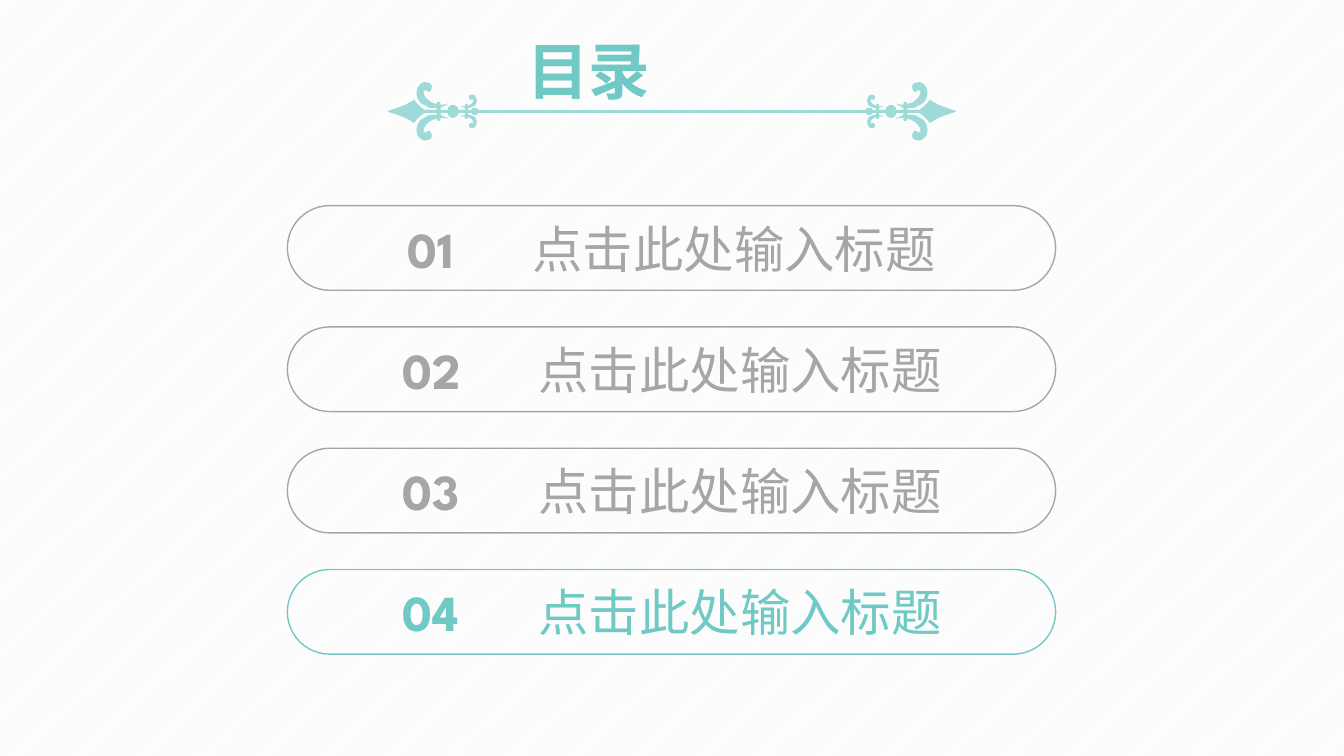
from lxml import etree
from pptx import Presentation
from pptx.dml.color import RGBColor
from pptx.enum.dml import MSO_PATTERN
from pptx.enum.shapes import MSO_SHAPE
from pptx.enum.text import MSO_AUTO_SIZE, PP_ALIGN
from pptx.oxml.ns import qn
from pptx.util import Inches, Pt

ROUND_RECT = MSO_SHAPE.ROUNDED_RECTANGLE
DIAGONAL = MSO_PATTERN.DARK_UPWARD_DIAGONAL
FIT_SHAPE = MSO_AUTO_SIZE.SHAPE_TO_FIT_TEXT
JUSTIFY, LEFT = PP_ALIGN.JUSTIFY, PP_ALIGN.LEFT

TEAL, PALE_TEAL, GREY = "70C9C4", "9EDAD7", "A6A6A6"
TITLE_FONT, NUMBER_FONT = "Calibri", "League Spartan"
WIDTH, HEIGHT = 13.33, 7.5
MID_X, MID_Y = WIDTH / 2, 1.1  # axes of the ornament

# Outlines: a start point, then lines (2 numbers) and cubic curves (6 numbers)
LARGE_SCROLL = [
    (4.24, 0.91),
    (4.23, 0.89, 4.21, 0.89, 4.2, 0.91), (4.2, 0.94, 4.22, 0.98, 4.27, 1.01),
    (4.33, 1.04, 4.38, 1.05, 4.45, 1.03), (4.38, 1.1, 4.24, 1.09, 4.17, 1.02),
    (4.13, 0.98, 4.12, 0.92, 4.14, 0.87), (4.16, 0.83, 4.2, 0.8, 4.25, 0.82),
    (4.28, 0.83, 4.29, 0.86, 4.28, 0.88), (4.28, 0.9, 4.26, 0.92, 4.24, 0.91),
]
SMALL_SCROLL = [
    (4.68, 0.99),
    (4.68, 0.98, 4.69, 0.98, 4.69, 0.99), (4.7, 1, 4.69, 1.03, 4.66, 1.04),
    (4.63, 1.06, 4.6, 1.06, 4.56, 1.05), (4.6, 1.08, 4.67, 1.08, 4.71, 1.05),
    (4.73, 1.02, 4.74, 0.99, 4.72, 0.97), (4.72, 0.95, 4.7, 0.93, 4.67, 0.94),
    (4.65, 0.95, 4.65, 0.96, 4.65, 0.97), (4.65, 0.98, 4.66, 0.99, 4.68, 0.99),
]
SPINE_QUARTER = [
    (3.85, 1.1),
    (3.94, 1.07, 4.02, 1.05, 4.11, 0.99), (4.13, 1.03, 4.17, 1.06, 4.21, 1.09),
    (4.44, 1.09),
    (4.44, 1.06, 4.47, 1.04, 4.49, 1.04), (4.52, 1.04, 4.54, 1.06, 4.55, 1.09),
    (4.68, 1.09),
    (4.68, 1.07, 4.69, 1.07, 4.71, 1.07), (4.72, 1.07, 4.74, 1.07, 4.74, 1.09),
]


def color(value):
    return RGBColor.from_string(value)


def trace(outline, steps=3):
    """Turn an outline into a list of points."""
    points = [outline[0]]
    for step in outline[1:]:
        if len(step) == 2:
            points.append(step)
            continue
        x0, y0 = points[-1]
        x1, y1, x2, y2, x3, y3 = step
        for i in range(1, steps + 1):
            t = i / steps
            a, b, c, d = (1 - t) ** 3, 3 * t * (1 - t) ** 2, 3 * t * t * (1 - t), t ** 3
            points.append((a * x0 + b * x1 + c * x2 + d * x3,
                           a * y0 + b * y1 + c * y2 + d * y3))
    return points


def flip_x(points):
    return [(2 * MID_X - x, y) for x, y in points]


def flip_y(points):
    return [(x, 2 * MID_Y + 0.01 - y) for x, y in points]


class Deck:
    def __init__(self):
        self.prs = Presentation()
        self.prs.slide_width, self.prs.slide_height = Inches(WIDTH), Inches(HEIGHT)
        self.s = self.prs.slides.add_slide(self.prs.slide_layouts[6])

    def background(self, fore, back):
        fill = self.s.background.fill
        fill.patterned()
        fill.pattern = DIAGONAL
        fill.fore_color.rgb, fill.back_color.rgb = color(fore), color(back)

    def freeform(self, contours, fill):
        contours = [[(Inches(x), Inches(y)) for x, y in c] for c in contours]
        builder = self.s.shapes.build_freeform(*contours[0][0])
        builder.add_line_segments(contours[0][1:])
        for contour in contours[1:]:
            builder.move_to(*contour[0])
            builder.add_line_segments(contour[1:])
        self.finish(builder.convert_to_shape(), fill=fill)

    def pill(self, x, y, w, h, fill=None, line=None):
        sp = self.s.shapes.add_shape(ROUND_RECT, Inches(x), Inches(y), Inches(w), Inches(h))
        sp.adjustments[0] = 0.5
        self.finish(sp, fill, line)

    def finish(self, sp, fill=None, line=None):
        sp.shadow.inherit = False
        if fill:
            sp.fill.solid()
            sp.fill.fore_color.rgb = color(fill)
        else:
            sp.fill.background()
        if line:
            sp.line.color.rgb, sp.line.width = color(line), Pt(1)
        else:
            sp.line.fill.background()

    def text(self, x, y, w, h, runs, size, ink, align, inset=0.1, tab=None):
        """Write one paragraph; runs are (text, font, bold)."""
        tf = self.s.shapes.add_textbox(Inches(x), Inches(y), Inches(w), Inches(h)).text_frame
        tf.word_wrap, tf.auto_size, tf.margin_left = True, FIT_SHAPE, Inches(inset)
        p = tf.paragraphs[0]
        p.alignment = align
        p.font.size, p.font.color.rgb = Pt(size), color(ink)
        if tab:
            tabs = etree.Element(qn("a:tabLst"))
            etree.SubElement(tabs, qn("a:tab"), pos=str(Inches(tab)), algn="l")
            p._p.get_or_add_pPr().insert(0, tabs)
        for words, font, bold in runs:
            r = p.add_run()
            r.text = words
            r.font.name, r.font.bold = font, bold
            r.font.size, r.font.color.rgb = Pt(size), color(ink)


def main():
    deck = Deck()
    deck.background("F2F2F2", "FFFFFF")

    # Heading
    deck.text(5.13, 0.28, 3.08, 0.84, [("目录", TITLE_FONT, True)], 44, TEAL, JUSTIFY)

    # Ornament: spine, then scrolls and collars on both ends
    quarter = trace(SPINE_QUARTER)
    top = quarter + flip_x(quarter)[::-1]
    deck.freeform([top + flip_y(top)[::-1]], PALE_TEAL)
    for outline in (LARGE_SCROLL, SMALL_SCROLL):
        upper = trace(outline)
        pair = [upper, flip_y(upper)]
        deck.freeform(pair, PALE_TEAL)
        deck.freeform([flip_x(c) for c in pair], PALE_TEAL)
    for x, y, w, h in ((4.33, 1.01, 0.04, 0.19), (4.61, 1.03, 0.03, 0.15)):
        for left in (x, 2 * MID_X - x - w):
            deck.pill(left, y, w, h, fill=PALE_TEAL)

    # Contents, the last entry highlighted; the narrow 01 sits further in
    first, last = 2.04, 5.65
    entries = [("01", GREY, 1.02, 1.24), ("02", GREY, 0.97, 1.35),
               ("03", GREY, 0.97, 1.35), ("04", TEAL, 0.97, 1.35)]
    pitch = (last - first) / (len(entries) - 1)
    for i, (number, ink, inset, tab) in enumerate(entries):
        y = first + pitch * i
        deck.pill(2.85, y, 7.62, 0.84, line=ink)
        runs = [(number + "\t", NUMBER_FONT, True), ("点击此处输入标题", TITLE_FONT, False)]
        deck.text(3.02, y + 0.07, 7.29, 0.71, runs, 36, ink, LEFT, inset, tab)

    deck.prs.save("out.pptx")


if __name__ == "__main__":
    main()
